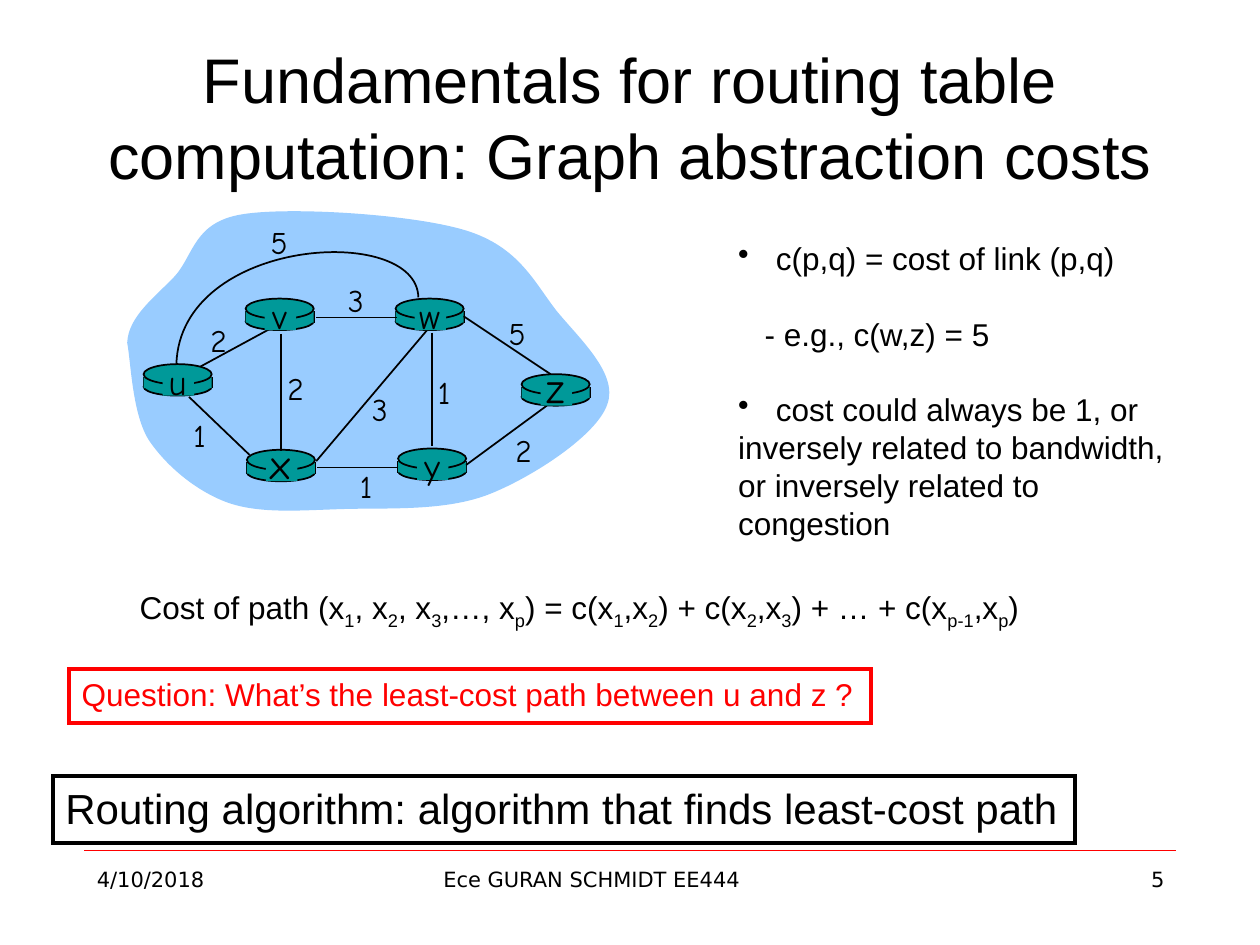
from typing import NamedTuple

from lxml import etree
from pptx import Presentation
from pptx import util as u
from pptx.dml.color import RGBColor
from pptx.enum import shapes, text
from pptx.oxml import ns

BLACK = RGBColor(0x00, 0x00, 0x00)
RED = RGBColor(0xFF, 0x00, 0x00)
CLOUD_BLUE = RGBColor(0x99, 0xCC, 0xFF)
TEAL = RGBColor(0x00, 0x99, 0x99)
BODY, HAND, FOOT = "Arial", "Comic Neue", "DejaVu Sans"
OVAL, RECT = shapes.MSO_SHAPE.OVAL, shapes.MSO_SHAPE.RECTANGLE
LEFT, CENTER, RIGHT = text.PP_ALIGN.LEFT, text.PP_ALIGN.CENTER, text.PP_ALIGN.RIGHT
ROUTER_WIDTH = 0.54


class Router(NamedTuple):
    name: str
    left: float
    top: float
    size: int = 20


class Link(NamedTuple):
    x1: float
    y1: float
    x2: float
    y2: float


class Cost(NamedTuple):
    value: str
    center: float
    top: float


class Line(NamedTuple):
    words: str
    indent: float = 0
    bullet: bool = False
    gap: bool = False


ROUTERS = [
    Router("u", 1.14, 2.89),
    Router("x", 1.96, 3.57, 24),
    Router("v", 1.95, 2.37),
    Router("w", 3.14, 2.37),
    Router("y", 3.16, 3.56),
    Router("z", 4.14, 2.97, 24),
]
LINKS = [
    Link(3.43, 2.64, 3.43, 3.54),
    Link(2.23, 2.65, 2.23, 3.58),
    Link(2.51, 3.66, 3.39, 2.62),
    Link(3.7, 3.69, 4.34, 3.22),
    Link(3.16, 3.71, 2.52, 3.71),
    Link(1.98, 3.61, 1.5, 3.15),
    Link(3.15, 2.52, 2.51, 2.52),
    Link(4.37, 2.97, 3.68, 2.51),
]
COSTS = [
    Cost("2", 1.74, 2.5),
    Cost("2", 2.35, 2.88),
    Cost("1", 1.59, 3.25),
    Cost("3", 3.02, 3.05),
    Cost("1", 2.91, 3.66),
    Cost("1", 3.53, 2.91),
    Cost("2", 4.16, 3.37),
    Cost("5", 4.11, 2.44),
    Cost("3", 2.83, 2.18),
    Cost("5", 2.22, 1.72),
]
CLOUD = [
    (1.01, 2.72), (1.02, 2.51), (1.23, 2.36), (1.39, 2.19),
    (1.54, 2.02), (1.54, 1.76), (1.93, 1.7),
    (2.31, 1.64), (3.28, 1.7), (3.7, 1.83),
    (4.12, 1.96), (4.24, 2.24), (4.42, 2.47),
    (4.61, 2.7), (4.91, 2.97), (4.82, 3.21),
    (4.74, 3.45), (4.24, 3.78), (3.89, 3.92),
    (3.54, 4.06), (3.08, 4.03), (2.73, 4.04),
    (2.39, 4.05), (2.07, 4.08), (1.81, 3.99),
    (1.56, 3.9), (1.32, 3.7), (1.18, 3.49),
    (1.05, 3.28), (1.04, 2.88), (1.01, 2.72),
]
U_TO_W = [(3.32, 2.36), (3.31, 1.77), (1.43, 1.88), (1.4, 2.89)]
NOTES = [
    Line("c(p,q) = cost of link (p,q)", 0.3, bullet=True),
    Line("- e.g., c(w,z) = 5", 0.21, gap=True),
    Line("cost could always be 1, or", 0.3, bullet=True, gap=True),
    Line("inversely related to bandwidth,"),
    Line("or inversely related to"),
    Line("congestion"),
]
PATH_COST = ("Cost of path (x|1|, x|2|, x|3|,…, x|p|) = c(x|1|,x|2|) + "
             "c(x|2|,x|3|) + … + c(x|p-1|,x|p|)")


def paint(shape, fill: RGBColor | None, line: RGBColor | None, width: float = 1) -> None:
    shape.shadow.inherit = False
    if fill is None:
        shape.fill.background()
    else:
        shape.fill.solid()
        shape.fill.fore_color.rgb = fill
    if line is None:
        shape.line.fill.background()
    else:
        shape.line.color.rgb = line
        shape.line.width = u.Pt(width)
        etree.SubElement(shape.line._ln, ns.qn("a:miter"), lim="800000")


def add_block(slide, kind, left: float, top: float, width: float, height: float,
              fill: RGBColor | None = None, line: RGBColor | None = None,
              weight: float = 1):
    block = slide.shapes.add_shape(
        kind, u.Inches(left), u.Inches(top), u.Inches(width), u.Inches(height))
    paint(block, fill, line, weight)
    return block


def add_link(slide, link: Link, color: RGBColor = BLACK, width: float = 1) -> None:
    wire = slide.shapes.add_connector(
        shapes.MSO_CONNECTOR.STRAIGHT, *(u.Inches(value) for value in link))
    wire.line.color.rgb = color
    wire.line.width = u.Pt(width)
    etree.SubElement(wire._element.spPr, ns.qn("a:effectLst"))


def add_text(slide, lines: list[Line], left: float, top: float, width: float,
             height: float, *, size: int = 18, font: str = BODY,
             color: RGBColor = BLACK, align=LEFT, wrap: bool = True,
             anchor=text.MSO_ANCHOR.TOP, border: RGBColor | None = None,
             leading: float | None = None) -> None:
    if border is None:
        box = slide.shapes.add_textbox(
            u.Inches(left), u.Inches(top), u.Inches(width), u.Inches(height))
    else:
        box = add_block(slide, RECT, left, top, width, height, line=border, weight=2.25)
        box.text_frame.margin_right = 0
    frame = box.text_frame
    frame.word_wrap = wrap
    frame.vertical_anchor = anchor
    for number, line in enumerate(lines):
        paragraph = frame.add_paragraph() if number else frame.paragraphs[0]
        paragraph.alignment = align
        if leading:
            paragraph.line_spacing = u.Pt(leading * size)
        if line.gap:
            paragraph.space_before = u.Pt(1.2 * size)
        if line.indent:
            properties = paragraph._p.get_or_add_pPr()
            properties.set("marL", str(u.Inches(line.indent)))
            if line.bullet:
                properties.set("indent", str(-u.Inches(line.indent)))
                etree.SubElement(properties, ns.qn("a:buChar"), char="•")
        for position, words in enumerate(line.words.split("|")):
            run = paragraph.add_run()
            run.text = words
            run.font.size = u.Pt(size)
            run.font.name = font
            run.font.color.rgb = color
            if position % 2:
                run.font._element.set("baseline", "-25000")


def add_curve(slide, knots: list[tuple[float, float]], fill: RGBColor | None,
              line: RGBColor | None) -> None:
    start, *rest = [(u.Inches(x), u.Inches(y)) for x, y in knots]
    builder = slide.shapes.build_freeform(*start)
    builder.add_line_segments(rest, close=knots[0] == knots[-1])
    curve = builder.convert_to_shape()
    segments = list(curve._element.iter(ns.qn("a:lnTo")))
    for first in range(0, len(segments), 3):
        bend = etree.Element(ns.qn("a:cubicBezTo"))
        segments[first].addprevious(bend)
        for segment in segments[first:first + 3]:
            bend.append(segment[0])
            segment.getparent().remove(segment)
    paint(curve, fill, line)


def add_router(slide, router: Router) -> None:
    left, top = router.left, router.top
    add_block(slide, OVAL, left, top + 0.11, ROUTER_WIDTH, 0.14, TEAL, BLACK)
    for side in (left, left + ROUTER_WIDTH):
        add_link(slide, Link(side, top + 0.1, side, top + 0.19))
    add_block(slide, RECT, left, top + 0.1, ROUTER_WIDTH, 0.09, TEAL)
    add_block(slide, OVAL, left, top, ROUTER_WIDTH, 0.16, TEAL, BLACK)


def add_router_name(slide, router: Router) -> None:
    add_block(slide, RECT, router.left + 0.15, router.top + 0.02, 0.25, 0.23, TEAL)
    rise, height = (0.15, 0.5) if router.size == 24 else (0.08, 0.43)
    add_text(slide, [Line(router.name)], router.left + 0.07, router.top - rise,
             0.4, height, size=router.size, font=HAND, align=CENTER, wrap=False)


def main() -> None:
    deck = Presentation()
    deck.slide_width, deck.slide_height = u.Inches(10), u.Inches(7.5)
    slide = deck.slides.add_slide(deck.slide_layouts[6])

    add_link(slide, Link(0.67, 6.75, 9.33, 6.75), RED, 0.25)
    for words, left, width, align in (("4/10/2018", 0.67, 2.17, LEFT),
                                      ("Ece GURAN SCHMIDT EE444", 3.42, 3.17, LEFT),
                                      ("5", 7.17, 2.17, RIGHT)):
        add_text(slide, [Line(words)], left, 6.83, width, 0.52,
                 size=12, font=FOOT, align=align)
    add_text(slide,
             [Line("Fundamentals for routing table computation: Graph abstraction costs")],
             0.5, 0.3, 9, 1.25, size=36, align=CENTER,
             anchor=text.MSO_ANCHOR.MIDDLE, leading=1.2)

    add_curve(slide, CLOUD, CLOUD_BLUE, None)
    add_link(slide, Link(1.59, 2.91, 2.18, 2.59))
    for router in ROUTERS:
        add_router(slide, router)
    for link in LINKS:
        add_link(slide, link)
    add_curve(slide, U_TO_W, None, BLACK)
    for router in ROUTERS:
        add_router_name(slide, router)
    for cost in COSTS:
        add_text(slide, [Line(cost.value)], cost.center - 0.18, cost.top, 0.35, 0.4,
                 font=HAND, align=CENTER, wrap=False)

    add_text(slide, NOTES, 5.76, 1.85, 3.58, 2.5, wrap=False, leading=1.2)
    add_text(slide, [Line(PATH_COST)], 1.01, 4.62, 7.45, 0.4)
    add_text(slide, [Line("Question: What’s the least-cost path between u and z ?")],
             0.55, 5.31, 6.36, 0.43, color=RED, border=RED, leading=1.2)
    add_text(slide, [Line("Routing algorithm: algorithm that finds least-cost path")],
             0.42, 6.16, 8.11, 0.53, size=24, border=BLACK, leading=1.2)
    deck.save("out.pptx")


if __name__ == "__main__":
    main()
